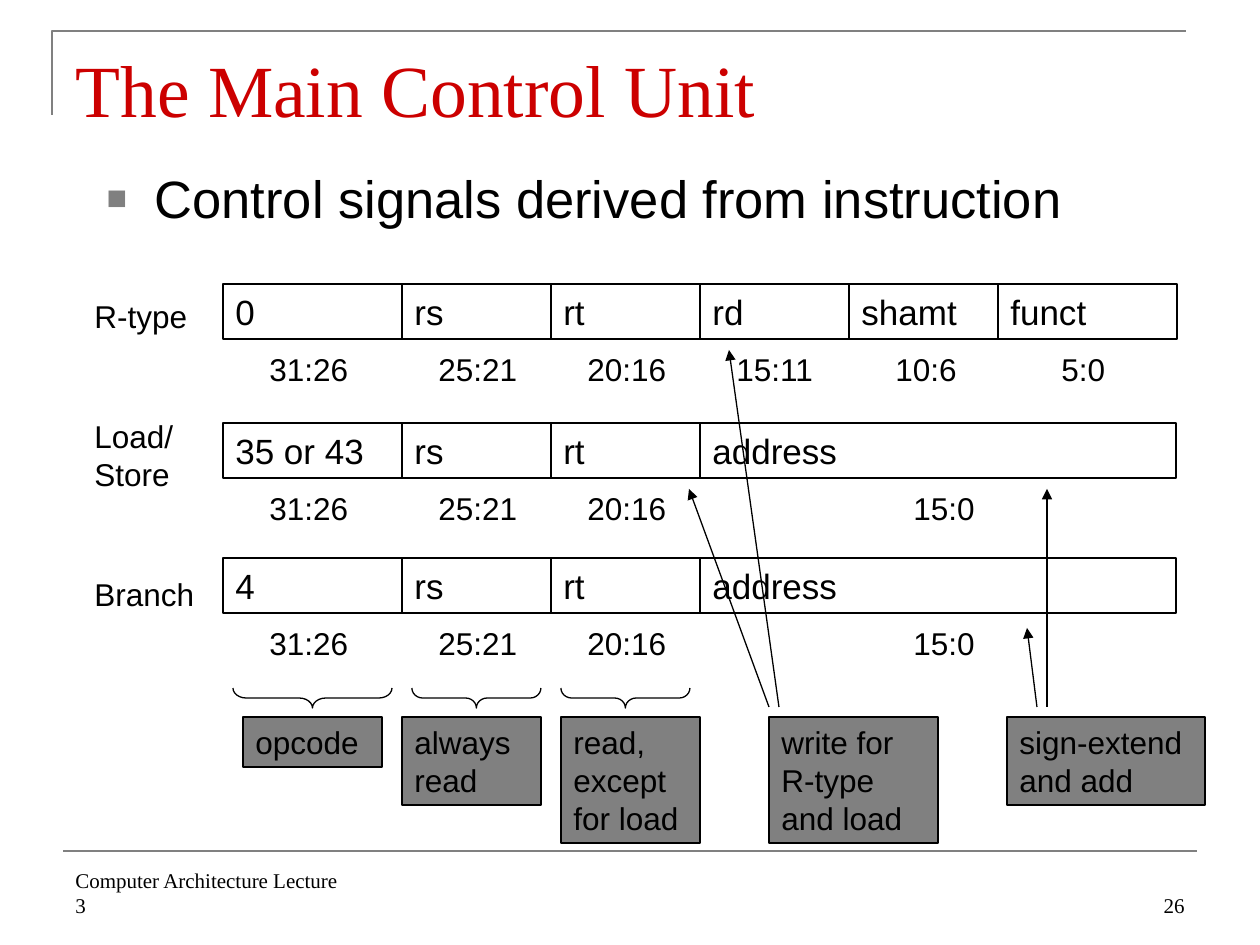
from typing import NamedTuple

from lxml import etree
from pptx import Presentation
from pptx.dml.color import RGBColor
from pptx.enum.shapes import MSO_CONNECTOR, MSO_SHAPE
from pptx.enum.text import MSO_ANCHOR, MSO_AUTO_SIZE, PP_ALIGN
from pptx.oxml.ns import qn
from pptx.util import Emu, Pt

RECT = MSO_SHAPE.RECTANGLE
BRACE = MSO_SHAPE.LEFT_BRACE
STRAIGHT = MSO_CONNECTOR.STRAIGHT
TOP, BOTTOM = MSO_ANCHOR.TOP, MSO_ANCHOR.BOTTOM
LEFT, RIGHT = PP_ALIGN.LEFT, PP_ALIGN.RIGHT
NO_FIT = MSO_AUTO_SIZE.NONE

SCALE = 914400 / 126
COLORS = {"title": "CC0000", "ink": "000000", "gray": "808080"}
SANS, SERIF = "Arial", "Times New Roman"


class Field(NamedTuple):
    text: str
    bits: str
    width: int
    indent: int


class Format(NamedTuple):
    name: str
    name_y: int
    name_w: int
    name_h: int
    y: int
    fields: list[Field]


class Note(NamedTuple):
    text: str
    x: int
    w: int
    h: int


class Line(NamedTuple):
    x1: int
    y1: int
    x2: int
    y2: int


RS = Field("rs", "25:21", 149, 24)
RT = Field("rt", "20:16", 149, 24)
ADDRESS = Field("address", "15:0", 476, 201)
FORMATS = [
    Format("R-type", 291, 117, 50, 284, [
        Field("0", "31:26", 179, 34), RS, RT,
        Field("rd", "15:11", 149, 24),
        Field("shamt", "10:6", 149, 34),
        Field("funct", "5:0", 179, 51)]),
    Format("Load/\nStore", 411, 103, 88, 423,
           [Field("35 or 43", "31:26", 179, 34), RS, RT, ADDRESS]),
    Format("Branch", 569, 125, 50, 558,
           [Field("4", "31:26", 179, 34), RS, RT, ADDRESS]),
]
NOTES = [
    Note("opcode", 243, 139, 50),
    Note("always read", 402, 139, 88),
    Note("read, except for load", 561, 139, 126),
    Note("write for R-type and load", 769, 169, 126),
    Note("sign-extend and add", 1007, 198, 88),
]
BRACES = [(233, 159), (412, 129), (561, 129)]
ARROWS = [
    Line(769, 707, 689, 489),
    Line(779, 707, 729, 350),
    Line(1037, 707, 1027, 628),
    Line(1047, 707, 1047, 489),
]


def px(n: float) -> Emu:
    return Emu(round(n * SCALE))


def rgb(name: str) -> RGBColor:
    return RGBColor.from_string(COLORS[name])


def place(sp, x: int, y: int, w: int, h: int) -> None:
    sp.left, sp.top, sp.width, sp.height = px(x), px(y), px(w), px(h)


def write(sp, text: str, *, size=18, font=SANS, color="ink", align=LEFT,
          anchor=TOP, wrap=True):
    tf = sp.text_frame
    tf.word_wrap, tf.auto_size, tf.vertical_anchor = wrap, NO_FIT, anchor
    p = tf.paragraphs[0]
    p.text, p.alignment = text, align
    for r in p.runs:
        r.font.size, r.font.name = Pt(size), font
        r.font.color.rgb = rgb(color)
    return p


def add_text(slide, text: str, x: int, y: int, w: int, h: int, **fmt) -> None:
    write(slide.shapes.add_textbox(px(x), px(y), px(w), px(h)), text, **fmt)


def stroke(sp, color: str, width: float) -> None:
    sp.line.color.rgb = rgb(color)
    sp.line.width = Pt(width)


def add_box(slide, text: str, x: int, y: int, w: int, h: int, *,
            fill=None, line=0.75, size=18) -> None:
    sp = slide.shapes.add_shape(RECT, px(x), px(y), px(w), px(h))
    sp.shadow.inherit = False
    if fill:
        sp.fill.solid()
        sp.fill.fore_color.rgb = rgb(fill)
    else:
        sp.fill.background()
    stroke(sp, "ink", line)
    write(sp, text, size=size)


def add_line(slide, line: Line, color="ink", width=0.75, arrow=False) -> None:
    sp = slide.shapes.add_connector(STRAIGHT, *map(px, line))
    stroke(sp, color, width)
    if arrow:
        etree.SubElement(sp.line._get_or_add_ln(), qn("a:tailEnd"), type="triangle")
    etree.SubElement(sp._element.spPr, qn("a:effectLst"))


def add_brace(slide, x: int, length: int, y=688, depth=20) -> None:
    sp = slide.shapes.add_shape(BRACE, 0, 0, 0, 0)
    place(sp, x + (length - depth) / 2, y + (depth - length) / 2, depth, length)
    sp.rotation = 270
    sp.adjustments[0] = length / 12 / depth
    sp.shadow.inherit = False
    sp.fill.background()
    stroke(sp, "ink", 0.75)


def add_format(slide, fmt: Format) -> None:
    x = 223
    for field in fmt.fields:
        add_box(slide, field.text, x, fmt.y, field.width, 55, line=1.5, size=20)
        add_text(slide, field.bits, x + field.indent, fmt.y + 60,
                 18 + 17 * len(field.bits), 50, wrap=False)
        x += field.width
    add_text(slide, fmt.name, 82, fmt.name_y, fmt.name_w, fmt.name_h, wrap=False)


def add_bullet(p) -> None:
    pPr = p._p.get_or_add_pPr()
    pPr.set("marL", str(px(48)))
    pPr.set("indent", str(px(-48)))
    clr = etree.SubElement(pPr, qn("a:buClr"))
    etree.SubElement(clr, qn("a:srgbClr"), val=COLORS["gray"])
    etree.SubElement(pPr, qn("a:buSzPct"), val="65000")
    etree.SubElement(pPr, qn("a:buFont"), typeface=SANS)
    etree.SubElement(pPr, qn("a:buChar"), char="■")


def add_frame(slide) -> None:
    fb = slide.shapes.build_freeform(px(52), px(115), scale=1.0)
    fb.add_line_segments([(px(52), px(31)), (px(1186), px(31))], close=False)
    sp = fb.convert_to_shape()
    sp.shadow.inherit = False
    sp.fill.background()
    stroke(sp, "gray", 1.5)
    add_line(slide, Line(63, 851, 1197, 851), "gray", 1.5)


def main() -> None:
    prs = Presentation()
    prs.slide_width, prs.slide_height = px(1260), px(945)
    slide = prs.slides.add_slide(prs.slide_layouts[1])
    add_frame(slide)
    title, body = slide.placeholders
    place(title, 63, 38, 1134, 98)
    write(title, "The Main Control Unit", size=42, font=SERIF, color="title")
    place(body, 94, 155, 1139, 96)
    p = write(body, "Control signals derived from instruction", size=30)
    p.space_before = Pt(0)
    add_bullet(p)
    body.text_frame.margin_top = px(11)

    for fmt in FORMATS:
        add_format(slide, fmt)
    for x, length in BRACES:
        add_brace(slide, x, length)
    for note in NOTES:
        add_box(slide, note.text, note.x, 717, note.w, note.h, fill="gray")
    for arrow in ARROWS:
        add_line(slide, arrow, arrow=True)

    footer = {"size": 12, "font": SERIF, "anchor": BOTTOM}
    add_text(slide, "Computer Architecture Lecture 3", 63, 861, 294, 63, **footer)
    add_text(slide, "26", 903, 861, 294, 63, align=RIGHT, **footer)
    prs.save("out.pptx")


if __name__ == "__main__":
    main()
